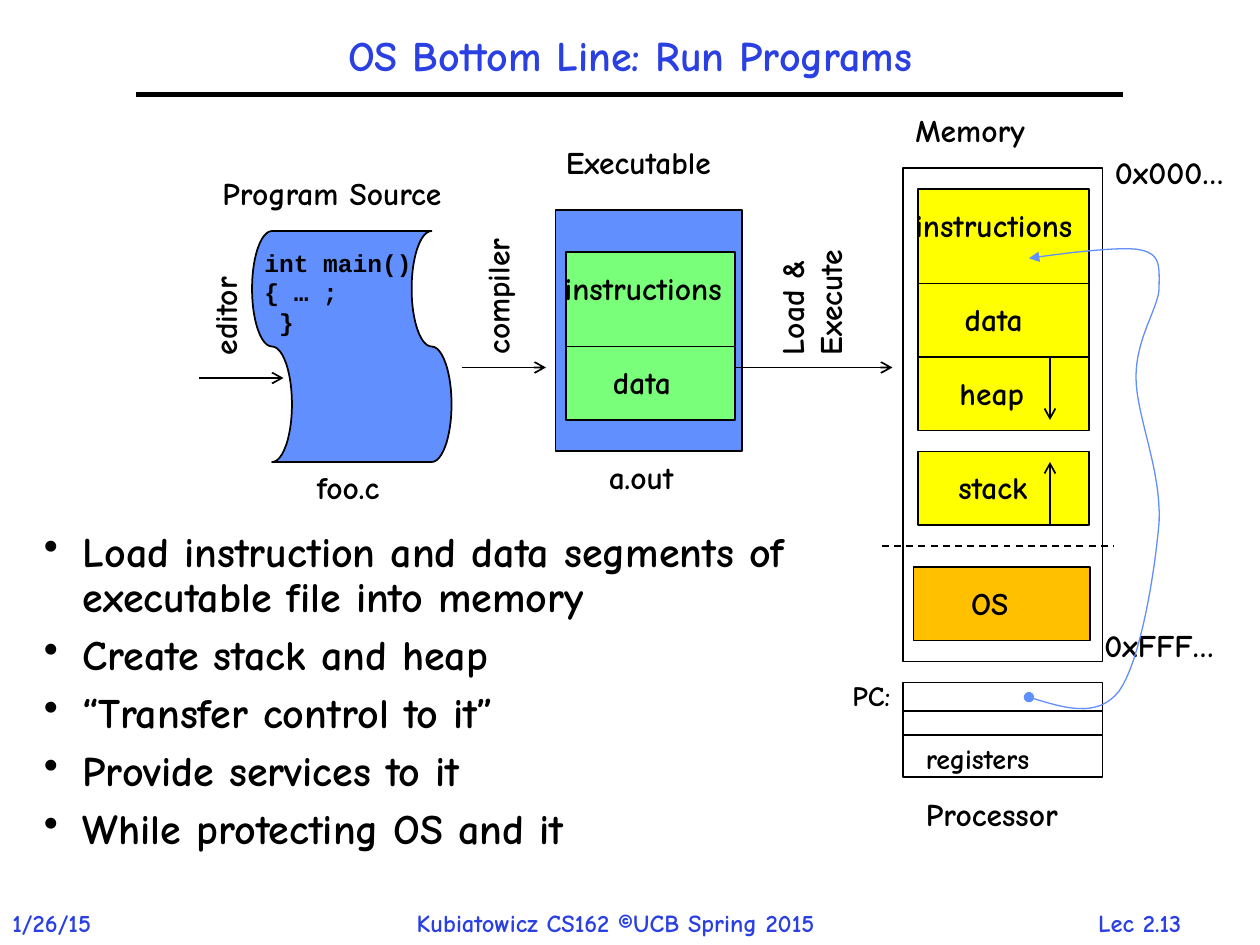
from lxml.etree import SubElement
from pptx import Presentation
from pptx.dml.color import RGBColor
from pptx.enum.dml import MSO_LINE
from pptx.enum.shapes import MSO_CONNECTOR, MSO_SHAPE
from pptx.enum.text import MSO_ANCHOR, PP_ALIGN
from pptx.oxml.ns import qn
from pptx.util import Pt

PX = 7620  # 120 px to the inch
BLACK = RGBColor(0x00, 0x00, 0x00)
TITLE_BLUE = RGBColor(0x2A, 0x40, 0xE2)
FILE_BLUE = RGBColor(0x61, 0x8F, 0xFD)
GREEN = RGBColor(0x79, 0xFF, 0x79)
YELLOW = RGBColor(0xFF, 0xFF, 0x00)
ORANGE = RGBColor(0xFF, 0xC0, 0x00)
FONT = "Comic Neue"
CODE_FONT = "Courier New"

BULLETS = [
    "Load instruction and data segments of executable file into memory",
    "Create stack and heap",
    "“Transfer control to it”",
    "Provide services to it",
    "While protecting OS and it",
]


def emu(*lengths):
    return [round(length * PX) for length in lengths]


def add_text(slide, box, lines, size=18, color=BLACK, font=FONT, wrap=False,
             rotation=0, anchor=MSO_ANCHOR.TOP, bullet=False, **paragraph_format):
    shape = slide.shapes.add_textbox(*emu(*box))
    shape.rotation = rotation
    frame = shape.text_frame
    frame.word_wrap = wrap
    frame.vertical_anchor = anchor
    font_format = {"name": font, "size": Pt(size), "bold": True}
    for index, line in enumerate(lines):
        paragraph = frame.paragraphs[0] if index == 0 else frame.add_paragraph()
        for name, value in paragraph_format.items():
            if index or name != "space_before":
                setattr(paragraph, name, value)
        if bullet:
            properties = paragraph._p.get_or_add_pPr()
            properties.set("marL", str(37 * PX))
            properties.set("indent", str(-37 * PX))
            SubElement(properties, qn("a:buChar"), char="•")
        run = paragraph.add_run()
        run.text = line
        for name, value in font_format.items():
            setattr(run.font, name, value)
        run.font.color.rgb = color


def add_box(slide, box, fill=None, kind=MSO_SHAPE.RECTANGLE, rotation=0):
    shape = slide.shapes.add_shape(kind, *emu(*box))
    shape.shadow.inherit = False
    shape.rotation = rotation
    if fill is None:
        shape.fill.background()
    else:
        shape.fill.solid()
        shape.fill.fore_color.rgb = fill
    shape.line.color.rgb = BLACK
    shape.line.width = Pt(1)


def add_line_ends(shape, **ends):
    outline = shape.element.spPr.find(qn("a:ln"))
    for name, kind in ends.items():
        SubElement(outline, qn(f"a:{name}"), type=kind)


def add_line(slide, start, end, width=1, arrow=False, dash=None):
    connector = slide.shapes.add_connector(
        MSO_CONNECTOR.STRAIGHT, *emu(*start, *end))
    connector.line.color.rgb = BLACK
    connector.line.width = Pt(width)
    if dash:
        connector.line.dash_style = dash
    if arrow:
        add_line_ends(connector, tailEnd="arrow")
    SubElement(connector.element.spPr, qn("a:effectLst"))


def add_segment(slide, box, fill, text, label_offset, label_width):
    """Filled memory block with its label 10 px below the top edge."""
    left, top = box[:2]
    add_box(slide, box, fill)
    add_text(slide, (left + label_offset, top + 10, label_width, 48), [text])


def add_header(slide, left, top, width, height):
    add_line(slide, (left, top + height), (left + width, top + height), width=3)
    add_text(slide, (left, top, width, height), ["OS Bottom Line: Run Programs"],
             size=24, color=TITLE_BLUE, wrap=True, anchor=MSO_ANCHOR.MIDDLE,
             alignment=PP_ALIGN.CENTER, line_spacing=0.9)


def add_footer(slide, left, top, height):
    for offset, width, text in [(0, 120, "1/26/15"),
                                (385, 464, "Kubiatowicz CS162 ©UCB Spring 2015"),
                                (1034, 145, "Lec 2.13")]:
        add_text(slide, (left + offset, top, width, height), [text],
                 size=14, color=TITLE_BLUE)


def add_program_source(slide, left, top, width, height):
    add_box(slide, (left + (width - height) / 2, top + (height - width) / 2,
                    height, width),
            FILE_BLUE, MSO_SHAPE.FLOWCHART_PUNCHED_TAPE, rotation=90)
    add_text(slide, (left, top + 10, 166, 97), ["int main()", "{ … ;", " }"],
             size=14, font=CODE_FONT)
    add_text(slide, (left - 40, top - 60, 245, 48), ["Program Source"])
    add_text(slide, (left + 50, top + height, 90, 48), ["foo.c"])


def add_executable(slide, left, top, width, height):
    add_box(slide, (left, top, width, height), FILE_BLUE)
    add_text(slide, (left - 2, top - 70, 174, 48), ["Executable"])
    add_text(slide, (left + 39, top + height, 91, 48), ["a.out"])
    add_segment(slide, (left + 10, top + 40, 161, 90), GREEN,
                "instructions", -13, 178)
    add_segment(slide, (left + 10, top + 130, 161, 70), GREEN, "data", 33, 83)


def add_step(slide, start, end, label_box, text, wrap=False):
    """Arrow between two stages with an upright label above it."""
    add_line(slide, start, end, arrow=True)
    add_text(slide, label_box, [text], rotation=270, wrap=wrap)


def add_memory(slide, left, top, width, height):
    add_box(slide, (left, top, width, height))
    add_text(slide, (left, top - 60, 133, 48), ["Memory"])
    add_text(slide, (left + width, top - 20, 137, 48), ["0x000…"])
    add_text(slide, (left + width - 10, top + 430, 142, 48), ["0xFFF…"])
    for offset, segment_height, text, label_offset, label_width in [
            (20, 90, "instructions", -14, 178),
            (110, 70, "data", 33, 83),
            (180, 70, "heap", 28, 91),
            (270, 70, "stack", 27, 95)]:
        add_segment(slide, (left + 14, top + offset, 163, segment_height),
                    YELLOW, text, label_offset, label_width)
    for start, end in [(180, 240), (340, 280)]:
        add_line(slide, (left + 140, top + start), (left + 140, top + end),
                 arrow=True)
    add_line(slide, (left - 20, top + 360), (left + 200, top + 360),
             dash=MSO_LINE.DASH)
    add_segment(slide, (left + 10, top + 380, 168, 70), ORANGE, "OS", 43, 68)


def add_processor(slide, left, top, width, height):
    add_box(slide, (left, top, width, height))
    add_box(slide, (left, top + 27, width, 23))
    add_text(slide, (left + 10, top + 50, 127, 44), ["registers"], size=16)
    add_text(slide, (left - 60, top - 10, 70, 44), ["PC:"], size=16)
    add_text(slide, (left + 10, top + 101, 161, 48), ["Processor"])


def add_program_counter_curve(slide, left, top):
    """Pointer from the PC register up to the loaded instructions."""
    knots = [(0, 418),
             (33, 428), (65, 439), (86, 412), (106, 384), (120, 300), (124, 251),
             (126, 200), (102, 150), (102, 113), (102, 76), (123, 48), (124, 29),
             (124, 8), (126, -4), (106, -8), (86, -13), (0, 0), (0, 0)]
    steps = 16
    points = []
    for first in range(0, len(knots) - 1, 3):
        for step in range(1, steps + 1):
            t = step / steps
            weights = ((1 - t) ** 3, 3 * t * (1 - t) ** 2, 3 * t ** 2 * (1 - t), t ** 3)
            curve = list(zip(weights, knots[first:first + 4]))
            points.append(emu(left + sum(w * x for w, (x, y) in curve),
                              top + sum(w * y for w, (x, y) in curve)))
    builder = slide.shapes.build_freeform(*emu(left + knots[0][0], top + knots[0][1]))
    builder.add_line_segments(points, close=False)
    shape = builder.convert_to_shape()
    shape.shadow.inherit = False
    shape.fill.background()
    shape.line.color.rgb = FILE_BLUE
    shape.line.width = Pt(0.75)
    add_line_ends(shape, headEnd="oval", tailEnd="triangle")


def main():
    presentation = Presentation()
    presentation.slide_width, presentation.slide_height = emu(1200, 900)
    slide = presentation.slides.add_slide(presentation.slide_layouts[6])
    add_footer(slide, 0, 859, 40)
    add_header(slide, 130, 20, 940, 70)
    add_text(slide, (30, 500, 798, 330), BULLETS, size=24, wrap=True, bullet=True,
             line_spacing=0.9, space_before=Pt(7.2))
    add_program_source(slide, 240, 220, 190, 220)
    add_executable(slide, 529, 200, 178, 230)
    add_step(slide, (190, 360), (270, 360), (164, 276, 100, 48), "editor")
    add_step(slide, (440, 350), (520, 350), (404, 256, 139, 48), "compiler")
    add_step(slide, (700, 350), (850, 350), (698, 233, 149, 85),
             "Load & Execute", wrap=True)
    add_memory(slide, 860, 160, 190, 470)
    add_processor(slide, 860, 650, 190, 90)
    add_program_counter_curve(slide, 980, 246)
    presentation.save("out.pptx")


if __name__ == "__main__":
    main()
